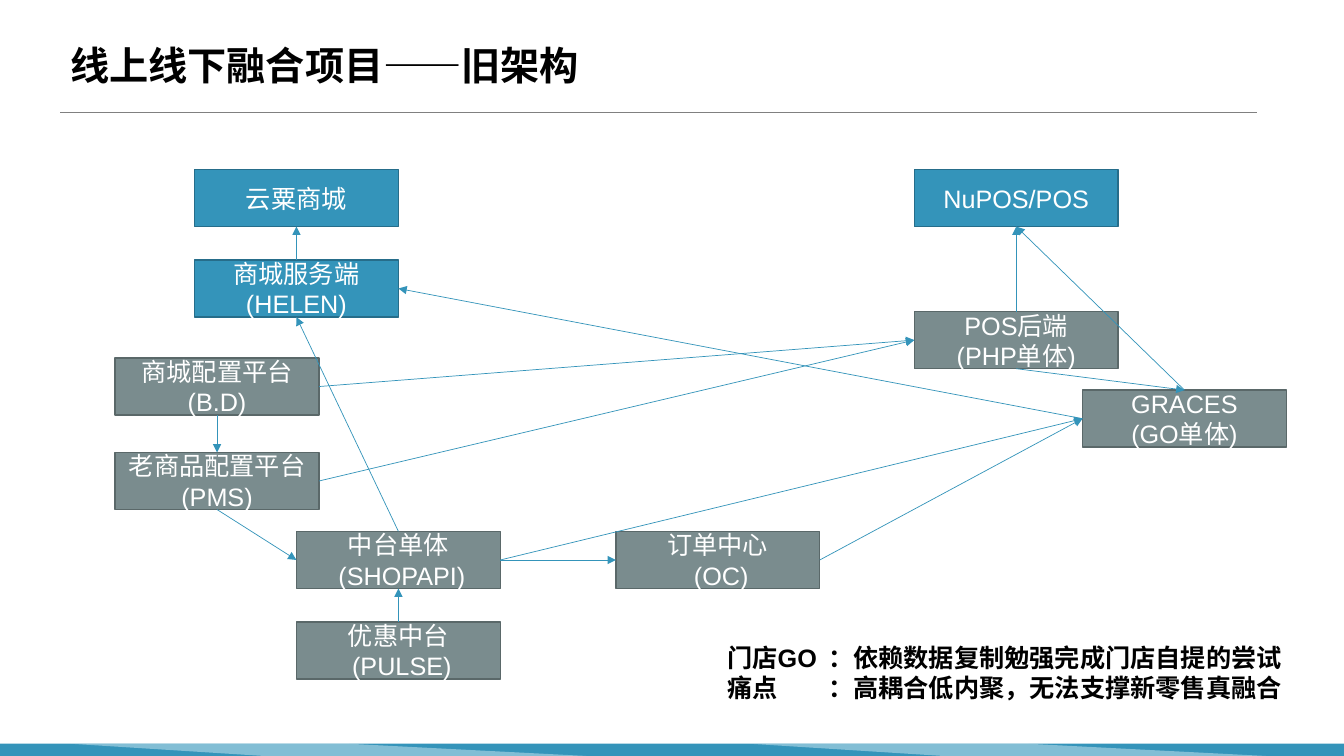
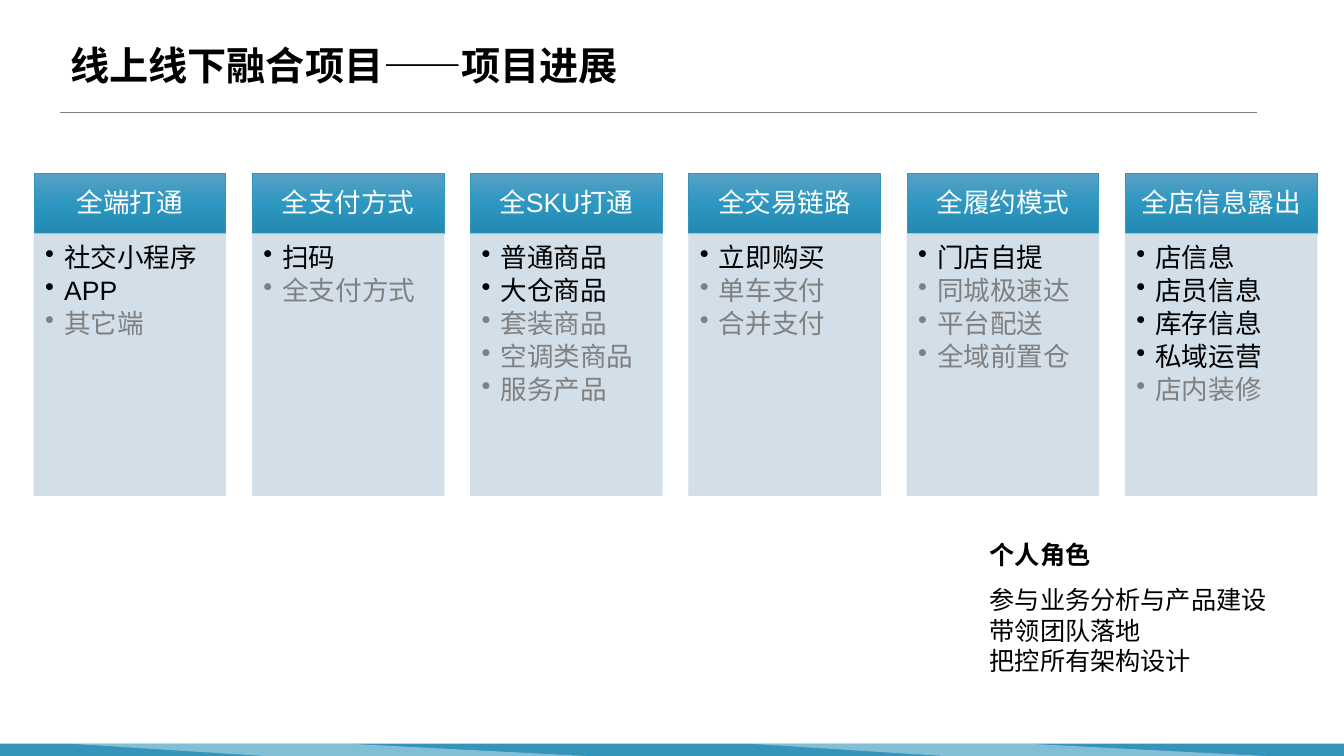
from copy import deepcopy

from lxml.etree import SubElement
from pptx import Presentation
from pptx.dml.color import RGBColor
from pptx.enum.shapes import MSO_CONNECTOR as Line, MSO_SHAPE as Shape
from pptx.enum.text import MSO_ANCHOR as Anchor, PP_ALIGN as Align
from pptx.oxml.ns import qn
from pptx.util import Cm, Pt

BLUE, BLUE_EDGE, PALE_BLUE = "3494BA", "266D8A", "D4EAF3"
SLATE, SLATE_EDGE = "7A8C8E", "5A6869"
PANEL, GREY, BLACK, WHITE = "CEDCE7", "808080", "000000", "FFFFFF"
HEADER_STOPS = [(0, "56A1C4"), (0.5, "2D97C1"), (1, "2289B1")]
LATIN, CHINESE = "Arial", "Noto Sans CJK SC"
WIDTH, HEIGHT = 33.87, 19.05

OLD_TITLE = "线上线下融合项目——旧架构"
NODE_WIDTH, NODE_HEIGHT = 5.14, 1.44
# key: (lines, left, top, fill, edge)
NODES = {
    "mall": (["云粟商城"], 4.9, 4.27, BLUE, BLUE_EDGE),
    "pos": (["NuPOS/POS"], 23.04, 4.27, BLUE, BLUE_EDGE),
    "config": (["商城配置平台", "(B.D)"], 2.9, 9.02, SLATE, SLATE_EDGE),
    "pos_back": (["POS后端", "(PHP单体)"], 23.04, 7.85, SLATE, SLATE_EDGE),
    "pms": (["老商品配置平台", "(PMS)"], 2.9, 11.4, SLATE, SLATE_EDGE),
    "helen": (["商城服务端", "(HELEN)"], 4.9, 6.55, BLUE, BLUE_EDGE),
    "shop": (["中台单体", " (SHOPAPI)"], 7.47, 13.39, SLATE, SLATE_EDGE),
    "orders": (["订单中心", " (OC)"], 15.52, 13.39, SLATE, SLATE_EDGE),
    "graces": (["GRACES", "(GO单体)"], 27.28, 9.83, SLATE, SLATE_EDGE),
    "pulse": (["优惠中台", " (PULSE)"], 7.47, 15.67, SLATE, SLATE_EDGE),
}
TOP, LEFT, BOTTOM, RIGHT = range(4)
ARROWS = [
    ("config", BOTTOM, "pms", TOP),
    ("shop", TOP, "helen", BOTTOM),
    ("graces", LEFT, "helen", RIGHT),
    ("pms", BOTTOM, "shop", LEFT),
    ("config", RIGHT, "pos_back", LEFT),
    ("shop", RIGHT, "graces", LEFT),
    ("shop", RIGHT, "orders", LEFT),
    ("orders", RIGHT, "graces", LEFT),
    ("pos_back", BOTTOM, "graces", TOP),
    ("mall", BOTTOM, "helen", TOP),
    ("graces", TOP, "pos", BOTTOM),
    ("pulse", TOP, "shop", BOTTOM),
    ("pms", RIGHT, "pos_back", LEFT),
    ("pos_back", TOP, "pos", BOTTOM),
]
REVERSED = {("mall", "helen")}
PAIN_POINTS = [
    "门店GO\t：依赖数据复制勉强完成门店自提的尝试",
    "痛点\t：高耦合低内聚，无法支撑新零售真融合",
]

PROGRESS_TITLE = "线上线下融合项目——项目进展"
# (heading, finished items, planned items)
COLUMNS = [
    ("全端打通", ["社交小程序", "APP"], ["其它端"]),
    ("全支付方式", ["扫码"], ["全支付方式"]),
    ("全SKU打通", ["普通商品", "大仓商品"], ["套装商品", "空调类商品", "服务产品"]),
    ("全交易链路", ["立即购买"], ["单车支付", "合并支付"]),
    ("全履约模式", ["门店自提"], ["同城极速达", "平台配送", "全域前置仓"]),
    ("全店信息露出", ["店信息", "店员信息", "库存信息", "私域运营"], ["店内装修"]),
]
ROLE_HEADING = "个人角色"
ROLE_LINES = ["参与业务分析与产品建设", "带领团队落地", "把控所有架构设计"]


def rgb(color):
    """Turn a hex string into a colour."""
    return RGBColor.from_string(color)


def set_alpha(shape, percent):
    """Make every solid colour of a shape partly transparent."""
    for color in shape._element.spPr.iter(qn("a:srgbClr")):
        SubElement(color, qn("a:alpha"), val=str(percent * 1000))


def paint(shape, fill, edge=None, weight=1):
    """Give a shape a flat fill and an optional outline."""
    shape.shadow.inherit = False
    shape.fill.solid()
    shape.fill.fore_color.rgb = rgb(fill)
    if edge:
        shape.line.color.rgb = rgb(edge)
        shape.line.width = Pt(weight)
    else:
        shape.line.fill.background()


def paint_gradient(shape, stops):
    """Fill a shape from top to bottom with three colours."""
    shape.fill.gradient()
    shape.fill.gradient_angle = 270
    stop_list = shape._element.spPr.find(".//" + qn("a:gsLst"))
    stop_list.insert(1, deepcopy(stop_list[0]))
    for stop, (position, color) in zip(shape.fill.gradient_stops, stops):
        stop.position = position
        stop.color.rgb = rgb(color)


def write(frame, lines, size, color, bold=False, align=Align.LEFT, latin=LATIN):
    """Fill a text frame with equally styled lines and return the paragraphs."""
    frame.text = "\n".join(lines)
    for para in frame.paragraphs:
        para.alignment = align
        font = para.font
        font.size, font.bold, font.name = Pt(size), bold, latin
        font.color.rgb = rgb(color)
        style = para._p.pPr.find(qn("a:defRPr"))
        SubElement(style, qn("a:ea"), typeface=CHINESE)
    return frame.paragraphs


def add_rect(page, left, top, width, height):
    """Add a rectangle measured in centimetres."""
    return page.shapes.add_shape(Shape.RECTANGLE, Cm(left), Cm(top), Cm(width), Cm(height))


def add_text(page, left, top, width, height, wrap=False):
    """Add a text box measured in centimetres and return its frame."""
    frame = page.shapes.add_textbox(Cm(left), Cm(top), Cm(width), Cm(height)).text_frame
    frame.word_wrap = wrap
    return frame


def add_line(page, color, start=(0, 0), end=(0, 0)):
    """Add a thin straight connector without a shadow."""
    line = page.shapes.add_connector(Line.STRAIGHT, *map(Cm, start + end))
    line.line.color.rgb = rgb(color)
    line.line.width = Pt(0.5)
    SubElement(line._element.spPr, qn("a:effectLst"))
    return line


def add_page(deck, title):
    """Add a page with the shared footer band, rule and title."""
    page = deck.slides.add_slide(deck.slide_layouts[6])
    band_top = 18.74
    paint(add_rect(page, 0, band_top, WIDTH, HEIGHT - band_top), BLUE)
    for left in (1.75, 18.87):
        points = [(left + 13.03, HEIGHT), (left + 7, band_top),
                  (left, band_top), (left + 4.9, HEIGHT)]
        corners = [(Cm(x), Cm(y)) for x, y in points]
        outline = page.shapes.build_freeform(*corners[0])
        outline.add_line_segments(corners[1:])
        facet = outline.convert_to_shape()
        paint(facet, PALE_BLUE)
        set_alpha(facet, 49)
    add_line(page, GREY, (1.52, 2.84), (31.67, 2.84))
    frame = add_text(page, 1.52, 0.58, 30.18, 2.26, wrap=True)
    frame.vertical_anchor = Anchor.MIDDLE
    write(frame, [title], 28, BLACK, bold=True, latin=CHINESE)[0].line_spacing = 0.9
    return page


def add_arrow(page, boxes, source, source_side, target, target_side):
    """Join two boxes with an arrow glued to their sides."""
    ends = [(boxes[source], source_side), (boxes[target], target_side)]
    if (source, target) in REVERSED:
        ends.reverse()
    arrow = add_line(page, BLUE)
    arrow.begin_connect(*ends[0])
    arrow.end_connect(*ends[1])
    SubElement(arrow.line._get_or_add_ln(), qn("a:tailEnd"), type="triangle")


def add_old_architecture(deck):
    """Build the page with the system diagram."""
    page = add_page(deck, OLD_TITLE)
    boxes = {}
    for key, (lines, left, top, fill, edge) in NODES.items():
        boxes[key] = add_rect(page, left, top, NODE_WIDTH, NODE_HEIGHT)
        paint(boxes[key], fill, edge)
        boxes[key].text_frame.vertical_anchor = Anchor.MIDDLE
        write(boxes[key].text_frame, lines, 18, WHITE, align=Align.CENTER)
    for arrow in ARROWS:
        add_arrow(page, boxes, *arrow)
    frame = add_text(page, 18.08, 16.05, 14.63, 1.8)
    for para in write(frame, PAIN_POINTS, 18, BLACK, bold=True):
        tabs = para._p.pPr.makeelement(qn("a:tabLst"))
        SubElement(tabs, qn("a:tab"), pos=str(Cm(2.54)), algn="l")
        para._p.pPr.insert(0, tabs)


def add_bullet(para):
    """Turn a paragraph into a bullet with a hanging indent."""
    props = para._p.pPr
    props.set("marL", str(Cm(0.48)))
    props.set("indent", str(-Cm(0.48)))
    bullet = props.makeelement(qn("a:buChar"), char="•")
    props.find(qn("a:defRPr")).addprevious(bullet)
    para.line_spacing = 0.9
    para.space_after = Pt(3)


def set_margins(frame, left, top, right, bottom):
    """Set the four insets of a text frame in centimetres."""
    frame.margin_left, frame.margin_top = Cm(left), Cm(top)
    frame.margin_right, frame.margin_bottom = Cm(right), Cm(bottom)


def add_column(page, left, heading, finished, planned):
    """Add one progress column: a heading above a bullet panel."""
    top, width, header_height, panel_height = 4.37, 4.83, 1.52, 6.6
    header = add_rect(page, left, top, width, header_height)
    paint(header, BLUE, BLUE, 0.5)
    paint_gradient(header, HEADER_STOPS)
    header.text_frame.vertical_anchor = Anchor.MIDDLE
    set_margins(header.text_frame, 0.37, 0.2, 0.37, 0.2)
    write(header.text_frame, [heading], 19, WHITE, align=Align.CENTER)[0].line_spacing = 0.9

    panel = add_rect(page, left, top + header_height, width, panel_height)
    paint(panel, PANEL, PANEL, 0.5)
    set_alpha(panel, 90)
    panel.text_frame.vertical_anchor = Anchor.TOP
    set_margins(panel.text_frame, 0.28, 0.28, 0.37, 0.43)
    paras = write(panel.text_frame, finished + planned, 19, BLACK)
    for para in paras:
        add_bullet(para)
    for para in paras[len(finished):]:
        para.font.color.rgb = rgb(GREY)


def add_progress(deck):
    """Build the page with the progress columns and the personal role."""
    page = add_page(deck, PROGRESS_TITLE)
    for index, column in enumerate(COLUMNS):
        add_column(page, 0.86 + 5.5 * index, *column)
    frame = add_text(page, 24.69, 13.46, 7.57, 3.71)
    paras = write(frame, [ROLE_HEADING] + ROLE_LINES, 18, BLACK)
    paras[0].font.bold = True
    paras[1].space_before = Pt(11)


deck = Presentation()
deck.slide_width, deck.slide_height = Cm(WIDTH), Cm(HEIGHT)
add_old_architecture(deck)
add_progress(deck)
deck.save("out.pptx")
